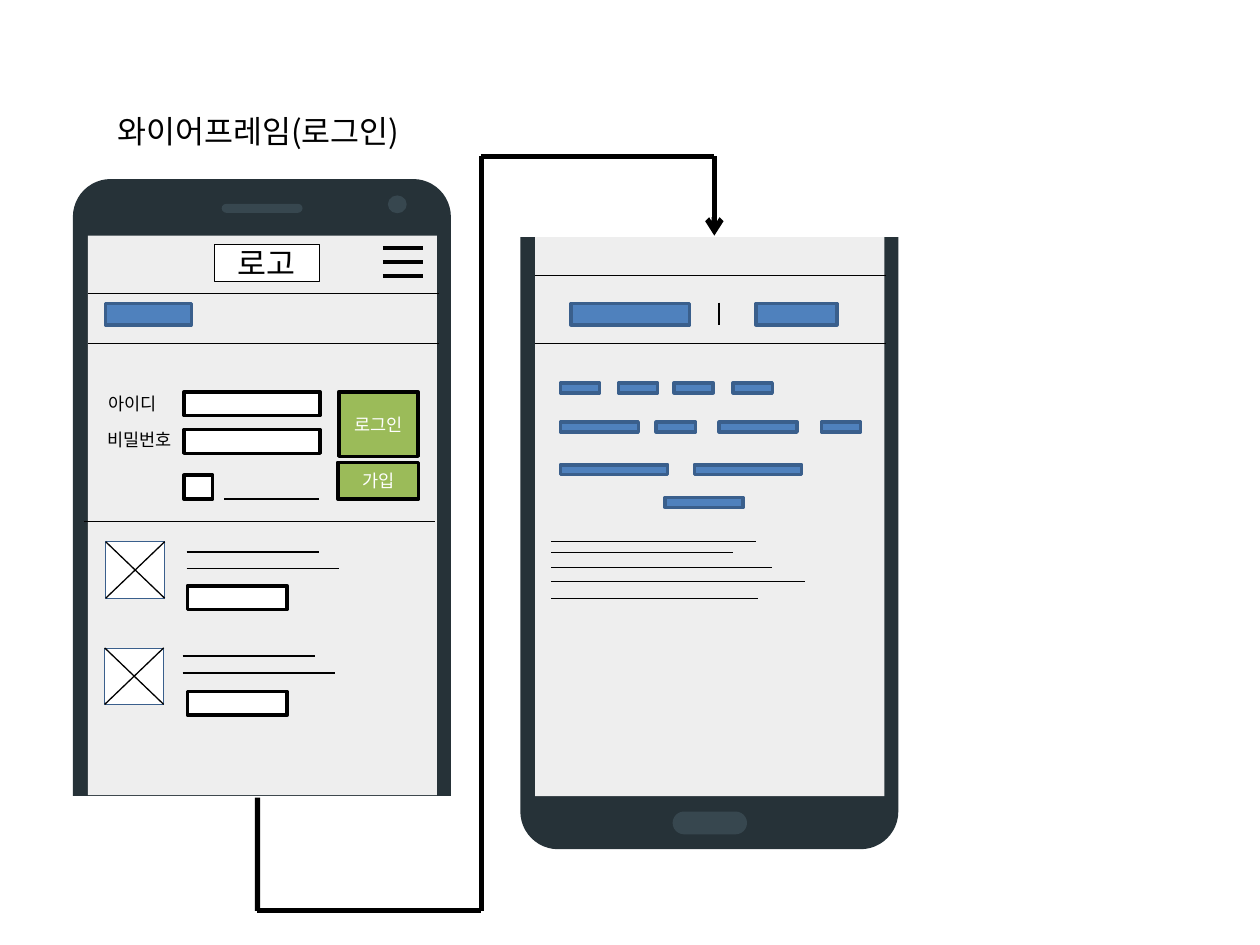
from dataclasses import dataclass

from lxml import etree
from pptx import Presentation
from pptx.dml.color import RGBColor
from pptx.enum import shapes, text
from pptx.oxml import ns
from pptx.util import Cm, Pt


@dataclass(frozen=True)
class Theme:
    font: str = "Noto Sans CJK KR"
    heading: int = 18
    small: int = 10
    black: str = "000000"
    white: str = "FFFFFF"
    body: str = "263238"
    detail: str = "37474F"
    screen: str = "EEEEEE"
    blue: str = "4F81BD"
    blue_edge: str = "3A5F8C"
    green: str = "9BBB59"


THEME = Theme()
RECT = shapes.MSO_SHAPE.RECTANGLE
ROUNDED = shapes.MSO_SHAPE.ROUNDED_RECTANGLE
OVAL = shapes.MSO_SHAPE.OVAL


def rgb(color):
    return RGBColor.from_string(color)


def write(frame, words, size, color=THEME.black, align=text.PP_ALIGN.LEFT):
    frame.text = words
    paragraph = frame.paragraphs[0]
    paragraph.alignment = align
    paragraph.font.size = Pt(size)
    paragraph.font.name = THEME.font
    paragraph.font.color.rgb = rgb(color)
    defaults = paragraph._p.pPr.find(ns.qn("a:defRPr"))
    etree.SubElement(defaults, ns.qn("a:ea"), typeface=THEME.font)


def block(parent, box, fill, edge=None, weight=2.0, kind=RECT, corner=None):
    shape = parent.shapes.add_shape(kind, *map(Cm, box))
    shape.shadow.inherit = False
    shape.fill.solid()
    shape.fill.fore_color.rgb = rgb(fill)
    if edge:
        shape.line.color.rgb = rgb(edge)
        shape.line.width = Pt(weight)
    else:
        shape.line.fill.background()
    if corner is not None:
        shape.adjustments[0] = corner
    return shape


def button(slide, box, words, size, fill, color, weight=2.0):
    shape = block(slide, box, fill, THEME.black, weight)
    shape.text_frame.vertical_anchor = text.MSO_ANCHOR.MIDDLE
    write(shape.text_frame, words, size, color, text.PP_ALIGN.CENTER)


def field(slide, box):
    block(slide, box, THEME.white, THEME.black)


def chip(slide, box):
    block(slide, box, THEME.blue, THEME.blue_edge)


def rule(parent, start, end, weight=0.5, arrow=False):
    line = parent.shapes.add_connector(
        shapes.MSO_CONNECTOR.STRAIGHT, *map(Cm, (*start, *end)))
    line.line.color.rgb = rgb(THEME.black)
    line.line.width = Pt(weight)
    if arrow:
        etree.SubElement(line.line._get_or_add_ln(),
                         ns.qn("a:tailEnd"), type="arrow")
    etree.SubElement(line._element.spPr, ns.qn("a:effectLst"))
    return line


def label(slide, left, top, words):
    box = slide.shapes.add_textbox(Cm(left), Cm(top), Cm(2.01), Cm(0.69))
    box.text_frame.word_wrap = True
    write(box.text_frame, words, THEME.small)


def phone(slide, left, top):
    """Phone body and screen; returns the group for further details."""
    group = slide.shapes.add_group_shape()
    block(group, (left, top, 7.62, 13.49), THEME.body,
          kind=ROUNDED, corner=0.1)
    block(group, (left + 0.3, top + 1.14, 7.04, 11.28), THEME.screen)
    return group


def thumbnail(slide, left, top, width=1.19, height=1.14):
    group = slide.shapes.add_group_shape()
    right, bottom = left + width, top + height
    block(group, (left, top, width, height), THEME.white,
          THEME.blue_edge, 0.25)
    rule(group, (left, top), (right, bottom), 0.75)
    rule(group, (left, bottom), (right, top), 0.75)


def list_item(slide, thumb, lines, button_top):
    thumbnail(slide, *thumb)
    left, top = lines
    rule(slide, (left, top), (left + 2.68, top), 1)
    rule(slide, (left, top + 0.33), (left + 3.08, top + 0.33), 1)
    field(slide, (3.78, button_top, 2.01, 0.48))


def heading(slide):
    title = slide.shapes.title
    title.left, title.top = Cm(2.11), Cm(2.13)
    title.width, title.height = Cm(6.68), Cm(1.02)
    frame = title.text_frame
    frame.word_wrap = False
    frame.auto_size = text.MSO_AUTO_SIZE.SHAPE_TO_FIT_TEXT
    frame.vertical_anchor = text.MSO_ANCHOR.TOP
    write(frame, "와이어프레임(로그인)", THEME.heading)


def login_screen(slide):
    group = phone(slide, 1.47, 3.61)
    block(group, (7.82, 3.94, 0.38, 0.36), THEME.detail, kind=OVAL)
    block(group, (4.47, 4.11, 1.63, 0.18), THEME.detail,
          kind=ROUNDED, corner=0.5)

    # Header with logo, menu and section marker
    button(slide, (4.32, 4.93, 2.11, 0.74), "로고", THEME.heading,
           THEME.white, THEME.black, 0.25)
    for row in range(3):
        y = 5 + row * 0.28
        rule(slide, (7.72, y), (8.53, y), 2.25)
    for left, y in ((1.78, 5.92), (1.78, 6.93), (1.7, 10.52)):
        rule(slide, (left, y), (left + 7.06, y))
    chip(slide, (2.13, 6.12, 1.73, 0.43))

    # Login form
    for left, top, words in ((1.93, 7.8, "아이디"), (1.91, 8.53, "비밀번호")):
        label(slide, left, top, words)
    for top in (7.9, 8.66):
        field(slide, (3.71, top, 2.74, 0.48))
    field(slide, (3.71, 9.58, 0.58, 0.48))
    rule(slide, (4.52, 10.06), (6.43, 10.06), 1)
    for box, words in (((6.81, 9.32, 1.63, 0.74), "가입"),
                       ((6.83, 7.9, 1.6, 1.3), "로그인")):
        button(slide, box, words, THEME.small, THEME.green, THEME.white)

    # Content list
    list_item(slide, (2.13, 10.92), (3.76, 11.13), 11.81)
    list_item(slide, (2.11, 13.06), (3.68, 13.23), 13.94)


def lower_screen(slide):
    group = phone(slide, 10.49, 3.63)
    block(group, (13.56, 16.36, 1.5, 0.46), THEME.detail,
          kind=ROUNDED, corner=0.5)

    # Tab bar
    for y in (5.56, 6.93):
        rule(slide, (10.79, y), (17.86, y))
    for left, width in ((11.51, 2.39), (15.24, 1.63)):
        chip(slide, (left, 6.12, width, 0.43))
    rule(slide, (14.5, 6.1), (14.5, 6.55), 1)

    # Footer links: row top, then left and width of each
    short, medium, wide = 0.79, 1.57, 2.16
    link_rows = {
        7.72: ((11.3, short), (12.47, short), (13.59, short), (14.78, short)),
        8.51: ((11.3, medium), (13.23, short), (14.5, medium), (16.56, short)),
        9.37: ((11.3, wide), (14, wide)),
        10.03: ((13.41, medium),),
    }
    for top, links in link_rows.items():
        for left, width in links:
            chip(slide, (left, top, width, 0.2))

    # Footer text lines
    for y, right in ((10.92, 15.24), (11.13, 14.78), (11.43, 15.57),
                     (11.73, 16.23), (12.07, 15.29)):
        rule(slide, (11.11, y), (right, y))


def flow(slide):
    """Cut both phones open and lead from the first to the second."""
    top_cut = block(slide, (10.4, 3.15, 8, 1.6), THEME.white, THEME.white)
    bottom_cut = block(slide, (1.09, 16.08, 8.2, 1.27),
                       THEME.white, THEME.white)
    route = [(5.19, 16.08), (5.19, 18.36), (9.7, 18.36),
             (9.7, 3.15), (14.4, 3.15), (14.4, 4.75)]
    last = len(route) - 2
    legs = [rule(slide, start, end, 3, arrow=(index == last))
            for index, (start, end) in enumerate(zip(route, route[1:]))]
    legs[0].begin_connect(bottom_cut, 0)
    legs[-2].end_connect(top_cut, 0)
    legs[-1].begin_connect(top_cut, 0)
    legs[-1].end_connect(top_cut, 2)


def main():
    deck = Presentation()
    deck.slide_width, deck.slide_height = Cm(25.4), Cm(19.05)
    slide = deck.slides.add_slide(deck.slide_layouts[5])
    heading(slide)
    login_screen(slide)
    lower_screen(slide)
    flow(slide)
    deck.save("out.pptx")


if __name__ == "__main__":
    main()
